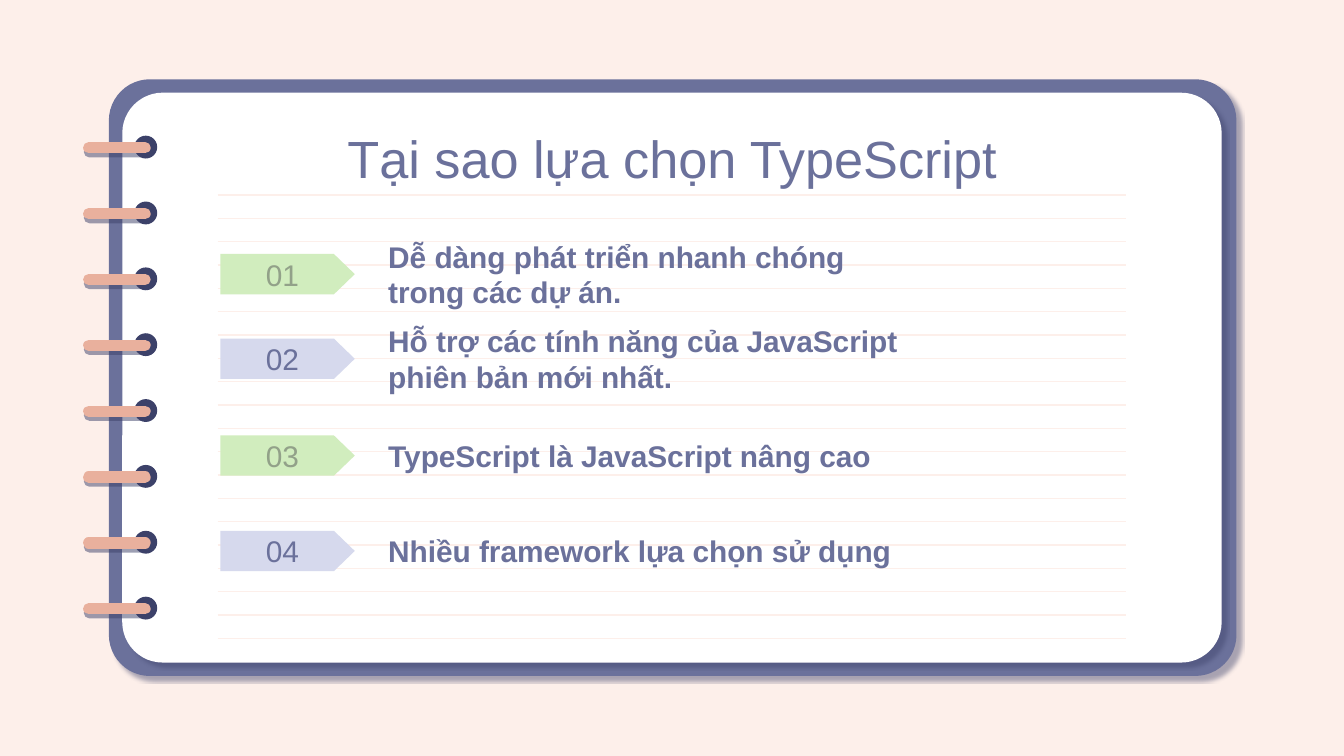
import pptx
import pptx.util
import pptx.oxml
import pptx.oxml.ns
import pptx.dml.color
import pptx.enum.shapes
import pptx.enum.text
from lxml import etree

Inches = pptx.util.Inches
Pt = pptx.util.Pt
RGBColor = pptx.dml.color.RGBColor
MSO_SHAPE = pptx.enum.shapes.MSO_SHAPE
PP_ALIGN = pptx.enum.text.PP_ALIGN
qn = pptx.oxml.ns.qn

PINK = RGBColor(0xFD, 0xEF, 0xEA)
PURPLE = RGBColor(0x6B, 0x71, 0x9B)
NAVY = RGBColor(0x3C, 0x41, 0x69)
WHITE = RGBColor(0xFF, 0xFF, 0xFF)
SALMON = RGBColor(0xE9, 0xB0, 0x9D)
GREEN = RGBColor(0xD1, 0xED, 0xBE)
LILAC = RGBColor(0xD6, 0xD9, 0xED)
OLIVE = RGBColor(0x92, 0xA1, 0x89)

REASONS = [
    (1.89, "Dễ dàng phát triển nhanh chóng trong các dự án."),
    (2.52, "Hỗ trợ các tính năng của JavaScript phiên bản mới nhất."),
    (3.24, "TypeScript là JavaScript nâng cao"),
    (3.95, "Nhiều framework lựa chọn sử dụng"),
]
TAG_STYLES = [(GREEN, OLIVE), (LILAC, PURPLE)]


def set_shadow(sp, alpha=0, blur=0, dist=0, angle=0):
    props = sp.element.spPr
    for old in props.findall(qn("a:effectLst")):
        props.remove(old)
    effects = etree.SubElement(props, qn("a:effectLst"))
    if not alpha:
        return
    shadow = etree.SubElement(
        effects, qn("a:outerShdw"), blurRad=str(Pt(blur)), dist=str(Pt(dist)),
        dir=str(angle * 60000), algn="bl", rotWithShape="0")
    color = etree.SubElement(shadow, qn("a:srgbClr"), val=str(NAVY))
    etree.SubElement(color, qn("a:alpha"), val=str(alpha * 1000))


def add_shape(slide, kind, box, fill, adj=None):
    sp = slide.shapes.add_shape(kind, *map(Inches, box))
    sp.shadow.inherit = False
    sp.fill.solid()
    sp.fill.fore_color.rgb = fill
    sp.line.fill.background()
    if adj is not None:
        sp.adjustments[0] = adj
    return sp


def add_line(slide, x1, x2, y, color, width):
    line = slide.shapes.add_connector(
        pptx.enum.shapes.MSO_CONNECTOR.STRAIGHT, *map(Inches, (x1, y, x2, y)))
    line.line.color.rgb = color
    line.line.width = Pt(width)
    set_shadow(line)
    return line


def write_text(sp, text, size, color, align, bold=False):
    tf = sp.text_frame
    frame = {
        "word_wrap": True,
        "auto_size": pptx.enum.text.MSO_AUTO_SIZE.NONE,
        "vertical_anchor": pptx.enum.text.MSO_ANCHOR.MIDDLE,
    }
    for side in ("left", "top", "right", "bottom"):
        frame["margin_" + side] = Inches(0.1)
    for name, value in frame.items():
        setattr(tf, name, value)
    p = tf.paragraphs[0]
    p.alignment = align
    r = p.add_run()
    r.text = text
    for name, value in {"name": "Arial", "size": Pt(size), "bold": bold}.items():
        setattr(r.font, name, value)
    r.font.color.rgb = color


def add_notebook(slide):
    for box, fill, adj in [((0.81, 0.59, 8.39, 4.44), PURPLE, 0.069),
                           ((0.91, 0.69, 8.18, 4.24), WHITE, 0.071)]:
        sp = add_shape(slide, MSO_SHAPE.ROUNDED_RECTANGLE, box, fill, adj)
        set_shadow(sp, alpha=44, blur=1.1, dist=4.5, angle=44)
    first, last, count = 1.45, 4.75, 20
    for i in range(count):
        y = first + i * (last - first) / (count - 1)
        add_line(slide, 1.62, 8.38, y, PINK, 0.75)


def add_rings(slide):
    for i in range(8):
        y = 1.01 + 0.49 * i
        add_shape(slide, MSO_SHAPE.OVAL, (1, y, 0.17, 0.17), NAVY)
        ring = add_line(slide, 0.66, 1.08, y + 0.09, SALMON, 6)
        ring.element.spPr.find(qn("a:ln")).set("cap", "rnd")
        set_shadow(ring, alpha=50, dist=2.2, angle=80)


def add_title(slide, text):
    sp = slide.shapes.title
    box = {"left": 1.37, "top": 0.94, "width": 7.26, "height": 0.46}
    for name, value in box.items():
        setattr(sp, name, Inches(value))
    write_text(sp, text, 28, PURPLE, PP_ALIGN.CENTER)
    sp.element.getparent().append(sp.element)


def add_reason(slide, number, y, text):
    sp = slide.shapes.add_textbox(*map(Inches, (2.79, y, 4.01, 0.3)))
    write_text(sp, text, 16, PURPLE, PP_ALIGN.LEFT, bold=True)
    fill, color = TAG_STYLES[(number - 1) % 2]
    tag = add_shape(slide, MSO_SHAPE.PENTAGON, (1.64, y, 1, 0.3), fill, 0.518)
    write_text(tag, f"{number:02d}", 16, color, PP_ALIGN.CENTER)


def main():
    prs = pptx.Presentation()
    prs.slide_width = Inches(10)
    prs.slide_height = Inches(10 * 9 / 16)
    slide = prs.slides.add_slide(prs.slide_layouts[5])
    slide.background.fill.solid()
    slide.background.fill.fore_color.rgb = PINK
    add_notebook(slide)
    add_rings(slide)
    add_title(slide, "Tại sao lựa chọn TypeScript")
    for number, (y, text) in enumerate(REASONS, 1):
        add_reason(slide, number, y, text)
    prs.save("out.pptx")


main()
